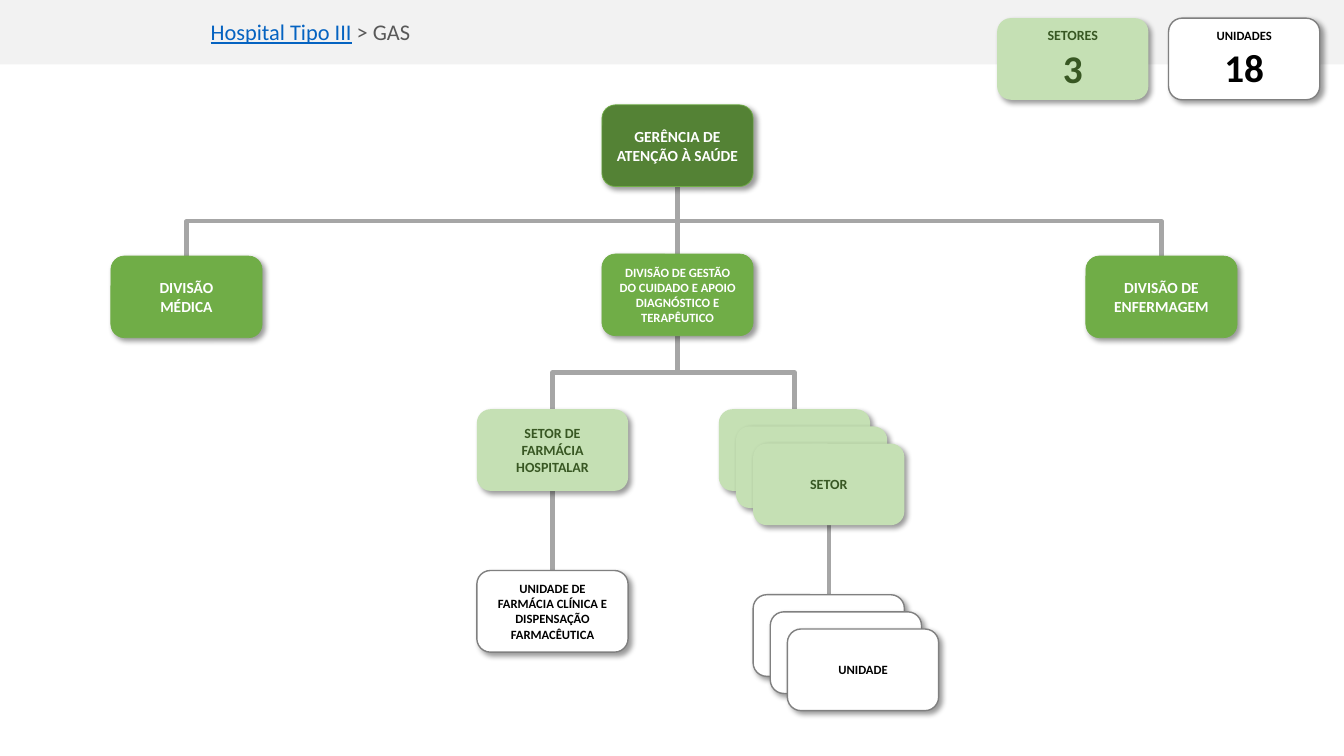
import pptx
import pptx.util
import pptx.dml.color
import pptx.enum.shapes
import pptx.enum.text
import pptx.oxml
import pptx.oxml.ns

SLIDE_W, SLIDE_H = 13.33, 7.5
CARD_W, CARD_H = 1.5, 0.81
STEP = 0.17  # offset between stacked cards
FONT = "Calibri"
GREY = "A6A6A6"

# Card kinds: fill, line colour, line width, text colour
MANAGEMENT = ("548235", "70AD47", 0.5, "FFFFFF")
DIVISION = ("70AD47", "70AD47", 0.5, "FFFFFF")
SECTOR = ("C5E0B4", None, 0, "385723")
UNIT = ("FFFFFF", "808080", 1, "000000")

SHADOW = (
    '<a:effectLst xmlns:a="http://schemas.openxmlformats.org/drawingml/2006/main">'
    '<a:outerShdw blurRad="50800" dist="38100" dir="2700000" algn="tl" rotWithShape="0">'
    '<a:srgbClr val="000000"><a:alpha val="40000"/></a:srgbClr>'
    '</a:outerShdw></a:effectLst>'
)


def inches(*values):
    return [pptx.util.Inches(v) for v in values]


def rgb(hex_string):
    return pptx.dml.color.RGBColor.from_string(hex_string)


def add_run(p, text, size, color, bold=False, underline=False):
    r = p.add_run()
    r.text = text
    r.font.name = FONT
    r.font.size = pptx.util.Pt(size)
    r.font.bold = bold
    r.font.underline = underline
    r.font.color.rgb = rgb(color)


def add_card(slide, x, y, kind, lines=()):
    """Rounded card; lines holds one (text, size) pair per paragraph."""
    fill, line, width, color = kind
    sp = slide.shapes.add_shape(
        pptx.enum.shapes.MSO_SHAPE.ROUNDED_RECTANGLE, *inches(x, y, CARD_W, CARD_H))
    sp.fill.solid()
    sp.fill.fore_color.rgb = rgb(fill)
    if line:
        sp.line.color.rgb = rgb(line)
        sp.line.width = pptx.util.Pt(width)
    else:
        sp.line.fill.background()
    sp._element.spPr.append(pptx.oxml.parse_xml(SHADOW))

    tf = sp.text_frame
    tf.word_wrap = True
    tf.vertical_anchor = pptx.enum.text.MSO_ANCHOR.MIDDLE
    for i, (text, size) in enumerate(lines):
        p = tf.add_paragraph() if i else tf.paragraphs[0]
        p.alignment = pptx.enum.text.PP_ALIGN.CENTER
        add_run(p, text, size, color, bold=True)


def add_stack(slide, x, y, kind, lines, count=3):
    for i in range(count):
        add_card(slide, x + i * STEP, y + i * STEP, kind,
                 lines if i == count - 1 else ())


def add_link(slide, parent, child):
    """Connector from the bottom of one card to the top of another."""
    x1, y1 = parent[0] + CARD_W / 2, parent[1] + CARD_H
    x2, y2 = child[0] + CARD_W / 2, child[1]
    dx, dy = x2 - x1, y2 - y1
    types = pptx.enum.shapes.MSO_CONNECTOR
    if abs(dx) < 0.01:
        cxn = slide.shapes.add_connector(types.STRAIGHT, *inches(x1, y1, x2, y2))
    else:
        # An elbow leaves sideways, so lay it flat and turn it about its centre
        cx, cy = (x1 + x2) / 2, (y1 + y2) / 2
        half = dy / 2 if dx < 0 else -dy / 2
        cxn = slide.shapes.add_connector(types.ELBOW, *inches(
            cx - half, cy - abs(dx) / 2, cx + half, cy + abs(dx) / 2))
        degrees = 90 if dx < 0 else 270
        xfrm = cxn._element.spPr.find(pptx.oxml.ns.qn("a:xfrm"))
        xfrm.set("rot", str(degrees * 60000))
    cxn.line.color.rgb = rgb(GREY)
    cxn.line.width = pptx.util.Pt(3)
    cxn._element.spPr.append(pptx.oxml.parse_xml(
        '<a:effectLst xmlns:a="http://schemas.openxmlformats.org/drawingml/2006/main"/>'))


def add_header(slide, left, top, width, height):
    # Band behind the title
    band = slide.shapes.add_shape(
        pptx.enum.shapes.MSO_SHAPE.RECTANGLE, *inches(left, top, width, height))
    band.shadow.inherit = False
    band.fill.solid()
    band.fill.fore_color.rgb = rgb("F2F2F2")
    band.line.fill.background()
    slide.shapes._spTree.insert(2, band._element)

    # Breadcrumb title
    title = slide.shapes.title
    title.left, title.top, title.width, title.height = inches(
        left + 1.99, top + 0.13, width - 2.09, 0.52)
    tf = title.text_frame
    tf.word_wrap = True
    tf.vertical_anchor = pptx.enum.text.MSO_ANCHOR.TOP
    p = tf.paragraphs[0]
    p.alignment = pptx.enum.text.PP_ALIGN.LEFT
    add_run(p, "Hospital Tipo III", 16, "0563C1", underline=True)
    add_run(p, " > GAS", 16, "595959")


def add_counters(slide, left, top, pitch):
    counters = [(SECTOR, "SETORES", 10, "3"), (UNIT, "UNIDADES", 9, "18")]
    for i, (kind, label, size, total) in enumerate(counters):
        add_card(slide, left + i * pitch, top, kind, [(label, size), (total, 28)])


def add_org_chart(slide, left, top):
    # Columns and rows of the chart
    col_a, col_b, col_c, col_d, col_e = [left + x for x in (0, 3.63, 4.87, 6.03, 9.67)]
    row_1, row_2, row_3, row_4 = [top + y for y in (0, 1.5, 3.02, 4.62)]
    management = (col_c, row_1)
    medical, care, nursing = (col_a, row_2), (col_c, row_2 - 0.02), (col_e, row_2)
    pharmacy, sectors = (col_b, row_3), (col_d, row_3)
    pharmacy_unit = (col_b, row_4)
    front_sector = (col_d + 2 * STEP, row_3 + 2 * STEP)
    units = (front_sector[0], row_4 + 0.24)

    # Connectors
    links = [(management, medical), (management, care), (management, nursing),
             (care, pharmacy), (care, sectors),
             (pharmacy, pharmacy_unit), (front_sector, units)]
    for parent, child in links:
        add_link(slide, parent, child)

    # Single cards
    cards = [
        (management, MANAGEMENT, [("GERÊNCIA DE ATENÇÃO À SAÚDE", 11)]),
        (medical, DIVISION, [("DIVISÃO", 11), ("MÉDICA", 11)]),
        (care, DIVISION,
         [("DIVISÃO DE GESTÃO DO CUIDADO E APOIO DIAGNÓSTICO E TERAPÊUTICO", 9)]),
        (nursing, DIVISION, [("DIVISÃO DE ENFERMAGEM", 11)]),
        (pharmacy, SECTOR, [("SETOR DE", 10), ("FARMÁCIA HOSPITALAR", 10)]),
        (pharmacy_unit, UNIT,
         [("UNIDADE DE FARMÁCIA CLÍNICA E DISPENSAÇÃO FARMACÊUTICA", 9)]),
    ]
    for (x, y), kind, lines in cards:
        add_card(slide, x, y, kind, lines)

    # Stacked cards
    add_stack(slide, *sectors, SECTOR, [("SETOR", 10)])
    add_stack(slide, *units, UNIT, [("UNIDADE", 9)])


def main():
    prs = pptx.Presentation()
    prs.slide_width, prs.slide_height = inches(SLIDE_W, SLIDE_H)
    slide = prs.slides.add_slide(prs.slide_layouts[5])
    add_header(slide, 0, 0, SLIDE_W, 0.64)
    add_org_chart(slide, 1.1, 1.04)
    add_counters(slide, 9.89, 0.18, 1.7)
    prs.save("out.pptx")


if __name__ == "__main__":
    main()
